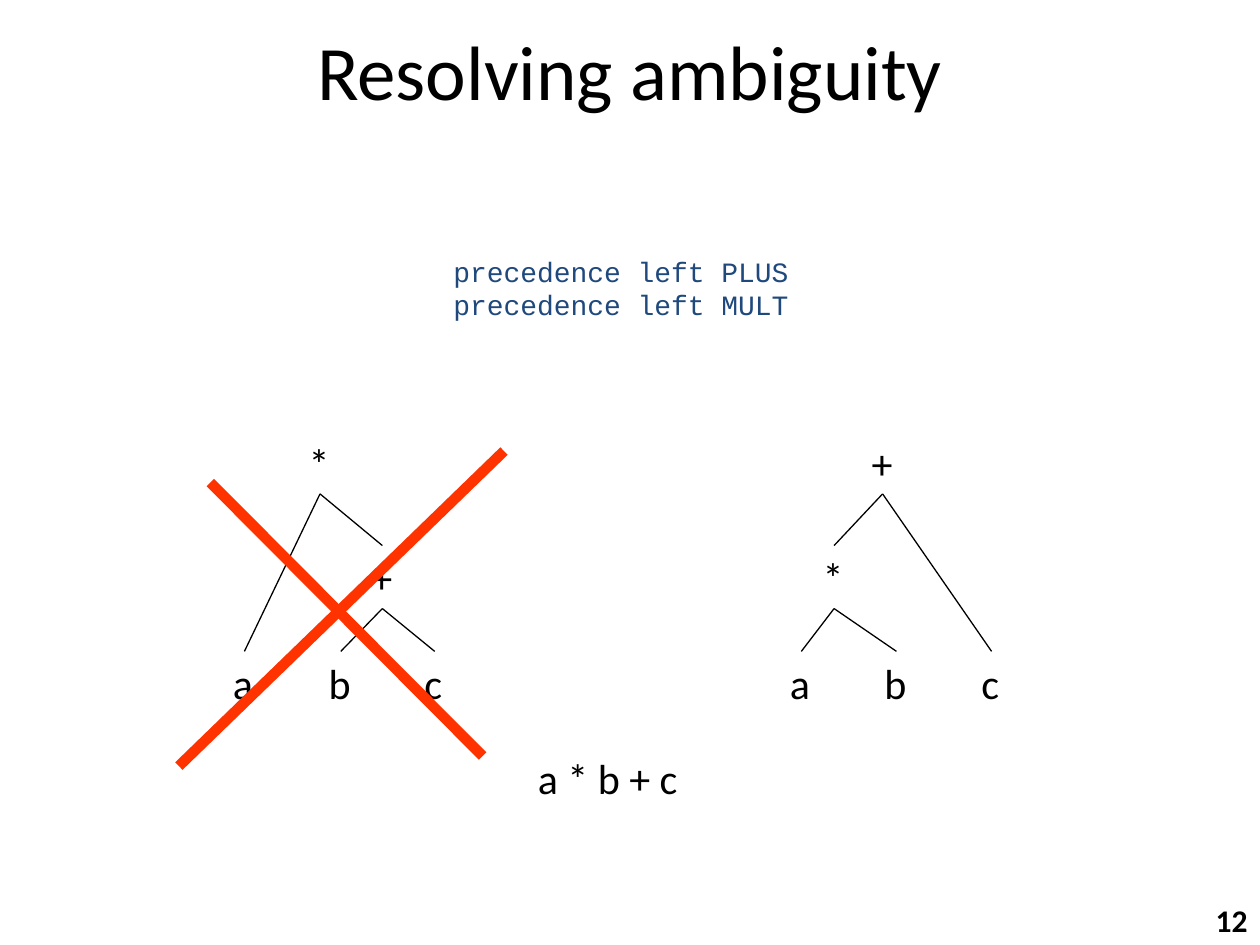
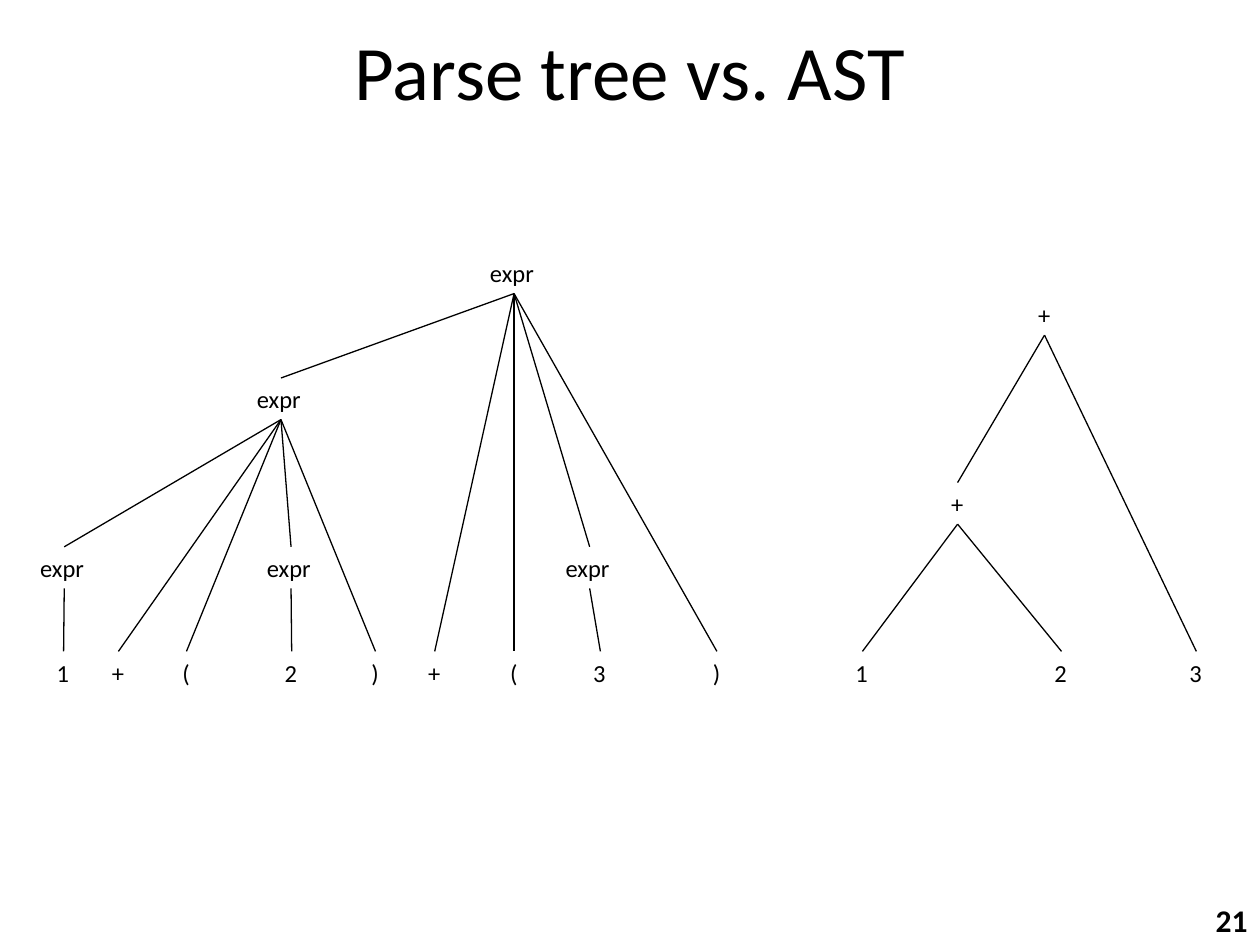
"""Build two slides on ambiguity and syntax trees."""
from collections import namedtuple

from lxml.etree import SubElement
from pptx import Presentation
from pptx.dml.color import RGBColor
from pptx.enum.shapes import MSO_CONNECTOR
from pptx.enum.text import MSO_ANCHOR, MSO_AUTO_SIZE, PP_ALIGN
from pptx.oxml.ns import qn
from pptx.util import Emu, Pt

PX = 9144
BLACK = RGBColor(0x00, 0x00, 0x00)
NAVY = RGBColor(0x1F, 0x49, 0x7D)
RED = RGBColor(0xFF, 0x33, 0x00)
BODY_FONT = "Calibri"
CODE_FONT = "Courier New"
BOTTOM, TOP = 2, 0
LEAF_TOP = 517

Node = namedtuple("Node", "label left top children", defaults=(LEAF_TOP, ()))
TreeStyle = namedtuple("TreeStyle", "size height widths")

LARGE = TreeStyle(24, 50, {"a": 38, "b": 39, "c": 36, "+": 37, "*": 38})
SMALL = TreeStyle(14, 33, {"expr": 58, "+": 30, "(": 26, ")": 26,
                           "1": 31, "2": 31, "3": 31})

TIMES_FIRST = Node("*", 235, 342, (
    Node("a", 175),
    Node("+", 285, 433, (Node("b", 251), Node("c", 327))),
))
PLUS_FIRST = Node("+", 682, 342, (
    Node("*", 643, 433, (Node("a", 617), Node("b", 692))),
    Node("c", 769),
))
PARSE_TREE = Node("expr", 379, 200, (
    Node("expr", 194, 300, (
        Node("expr", 22, 434, (Node("1", 35),)),
        Node("+", 79),
        Node("(", 135),
        Node("expr", 202, 434, (Node("2", 216),)),
        Node(")", 285),
    )),
    Node("+", 330),
    Node("(", 395),
    Node("expr", 439, 434, (Node("3", 461),)),
    Node(")", 556),
))
SYNTAX_TREE = Node("+", 814, 233, (
    Node("+", 745, 383, (Node("1", 669), Node("2", 827))),
    Node("3", 934),
))


class Deck:
    """Hold the shared style and the current slide."""

    def __init__(self):
        self.deck = Presentation()
        self.deck.slide_width = Emu(1000 * PX)
        self.deck.slide_height = Emu(750 * PX)
        self.page = None

    def add_page(self, title, number):
        self.page = self.deck.slides.add_slide(self.deck.slide_layouts[6])
        box = self.text(title, 50, 13, 900, 85, 44, align=PP_ALIGN.CENTER, wrap=True)
        box.text_frame.vertical_anchor = MSO_ANCHOR.MIDDLE
        self.text(number, 949, 710, 51, 40, 18, align=PP_ALIGN.RIGHT, wrap=True, bold=True)

    def text(self, words, left, top, width, height, size, font=BODY_FONT,
             color=BLACK, align=PP_ALIGN.LEFT, wrap=False, bold=False):
        box = self.page.shapes.add_textbox(*(Emu(n * PX) for n in (left, top, width, height)))
        frame = box.text_frame
        frame.word_wrap = wrap
        frame.auto_size = MSO_AUTO_SIZE.NONE if wrap else MSO_AUTO_SIZE.SHAPE_TO_FIT_TEXT
        for index, line in enumerate(words.split("\n")):
            para = frame.add_paragraph() if index else frame.paragraphs[0]
            para.alignment = align
            span = para.add_run()
            span.text = line
            span.font.name = font
            span.font.size = Pt(size)
            span.font.bold = bold
            span.font.color.rgb = color
        return box

    def line(self, start, end, color=BLACK, weight=0.75):
        connector = self.page.shapes.add_connector(
            MSO_CONNECTOR.STRAIGHT, *(Emu(n * PX) for n in start + end))
        connector.line.color.rgb = color
        connector.line.width = Pt(weight)
        SubElement(connector._element.spPr, qn("a:effectLst"))
        return connector

    def edge(self, parent, child):
        connector = self.line((0, 0), (0, 0))
        connector.begin_connect(parent, BOTTOM)
        connector.end_connect(child, TOP)

    def tree(self, node, style):
        box = self.text(node.label, node.left, node.top,
                        style.widths[node.label], style.height, style.size)
        for child in node.children:
            self.edge(box, self.tree(child, style))
        return box

    def save(self):
        self.deck.save("out.pptx")


def main():
    deck = Deck()

    deck.add_page("Resolving ambiguity", "12")
    deck.text("a * b + c", 417, 592, 132, 50, 24)
    deck.tree(TIMES_FIRST, LARGE)
    deck.tree(PLUS_FIRST, LARGE)
    deck.line((400, 358), (142, 608), RED, 6)
    deck.line((167, 383), (383, 600), RED, 6)
    deck.text("precedence left PLUS\nprecedence left MULT",
              350, 197, 288, 64, 16, CODE_FONT, NAVY)

    deck.add_page("Parse tree vs. AST", "21")
    deck.tree(PARSE_TREE, SMALL)
    deck.tree(SYNTAX_TREE, SMALL)

    deck.save()


if __name__ == "__main__":
    main()
